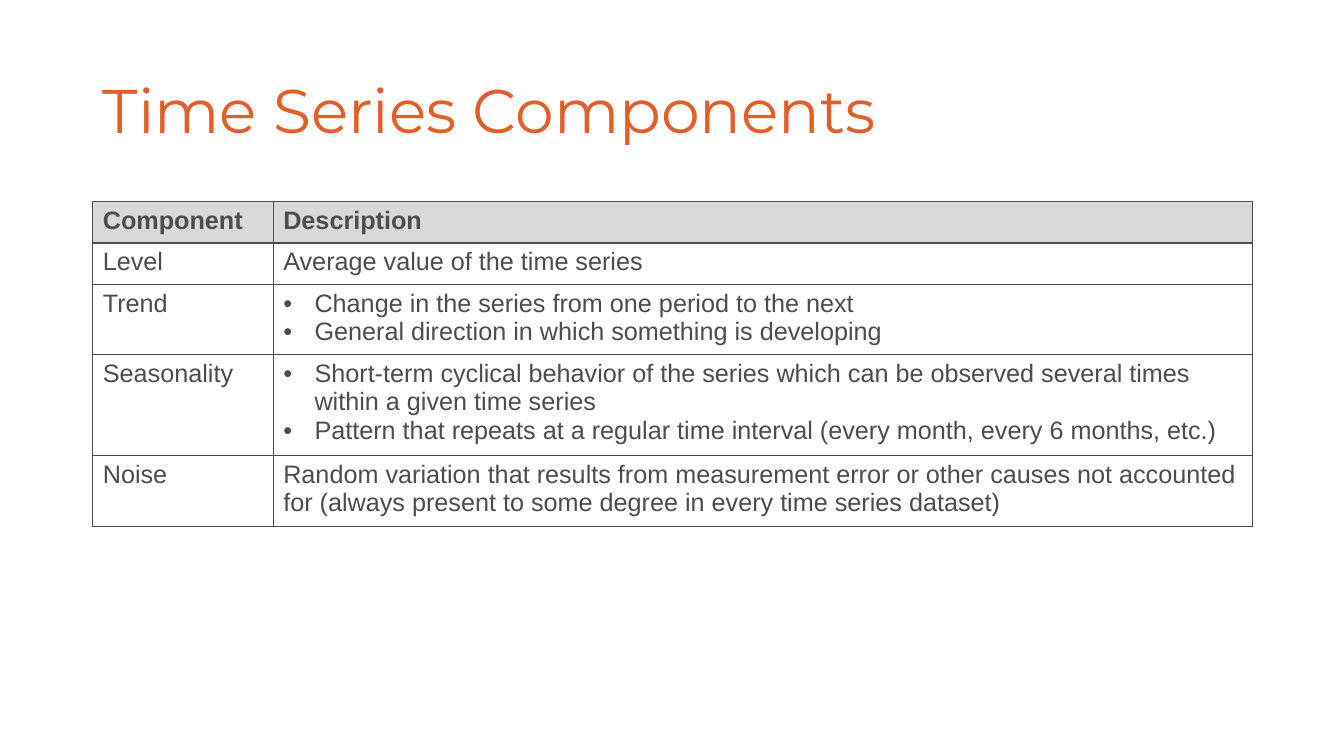
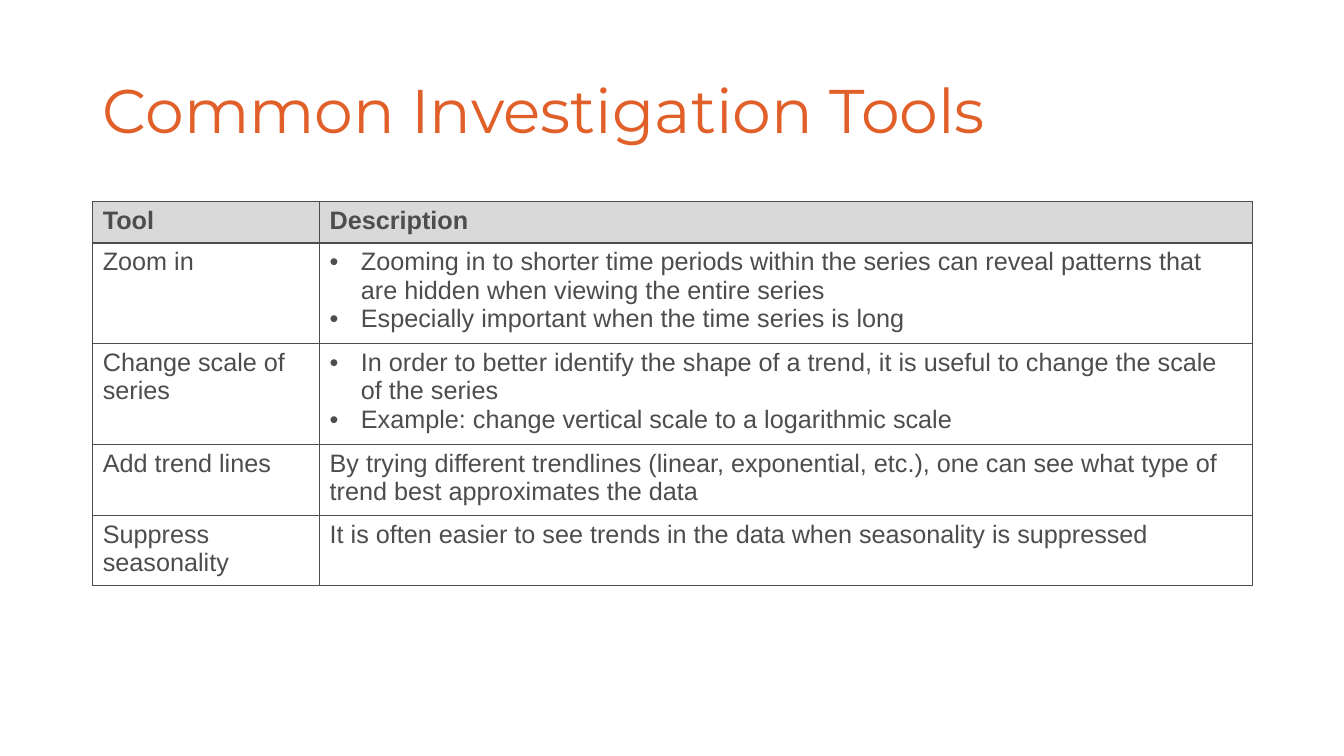
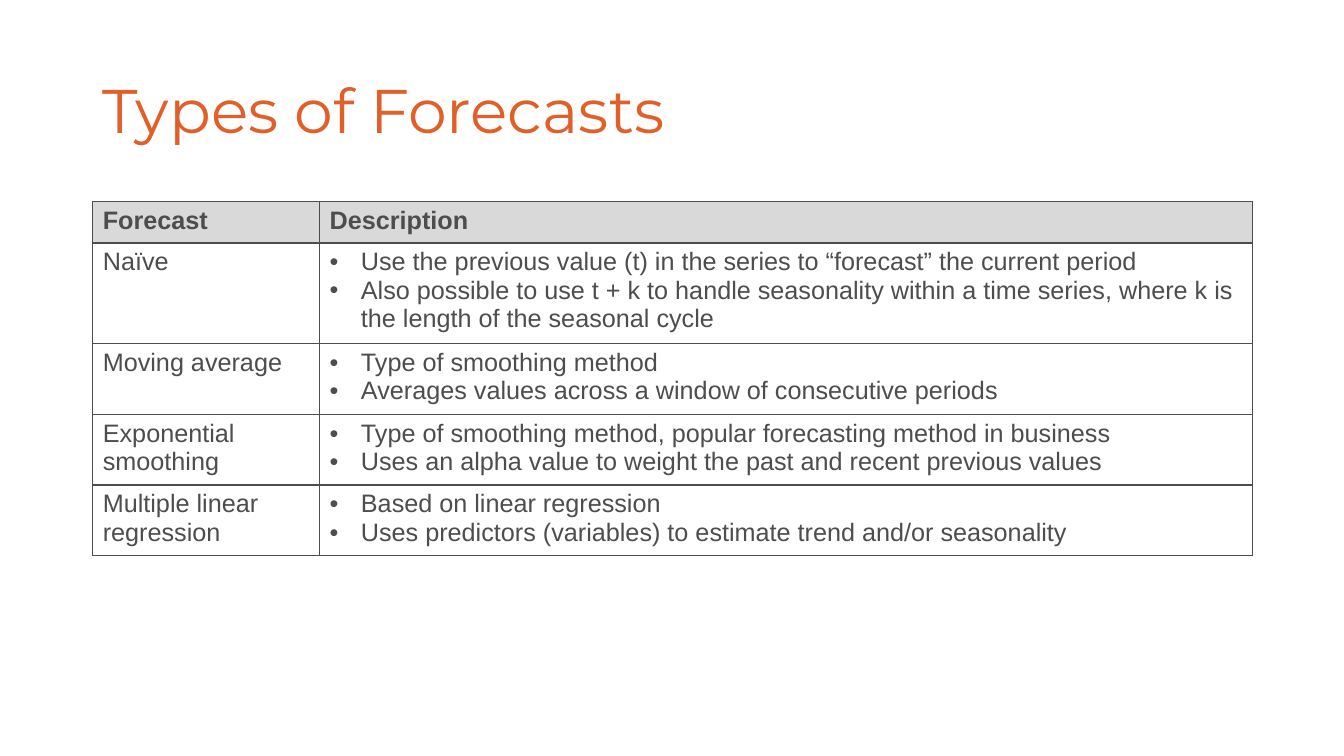
from lxml.etree import SubElement
from pptx import Presentation
from pptx.dml.color import RGBColor
from pptx.enum.text import MSO_ANCHOR
from pptx.oxml.ns import qn
from pptx.util import Inches, Pt

COLORS = {"title": "E15F29", "text": "4C4D4C", "border": "4C4D4C", "header": "D9D9D9"}
TITLE_FONT, BODY_FONT = "Montserrat", "Arial"
SLIDE_SIZE = (13.33, 7.5)
TITLE_BOX = (0.92, 0.4, 11.5, 1.45)
TABLE_BOX = (0.92, 2, 11.5)  # left, top, width
ROW_HEIGHT = 0.41
BULLET_INDENT = 0.31
BORDER_WIDTH = 1

# Each slide: title, width of the first column, table rows.
# A list in a cell becomes bulleted paragraphs.
SLIDES = [
    ("Time Series Components", 1.79, [
        ("Component", "Description"),
        ("Level", "Average value of the time series"),
        ("Trend", [
            "Change in the series from one period to the next",
            "General direction in which something is developing"]),
        ("Seasonality", [
            "Short-term cyclical behavior of the series which can be observed "
            "several times within a given time series",
            "Pattern that repeats at a regular time interval (every month, every 6 months, etc.)"]),
        ("Noise", "Random variation that results from measurement error or other causes not "
                  "accounted for (always present to some degree in every time series dataset)"),
    ]),
    ("Common Investigation Tools", 2.25, [
        ("Tool", "Description"),
        ("Zoom in", [
            "Zooming in to shorter time periods within the series can reveal patterns "
            "that are hidden when viewing the entire series",
            "Especially important when the time series is long"]),
        ("Change scale of series", [
            "In order to better identify the shape of a trend, it is useful to change "
            "the scale of the series",
            "Example: change vertical scale to a logarithmic scale"]),
        ("Add trend lines", "By trying different trendlines (linear, exponential, etc.), one can "
                            "see what type of trend best approximates the data"),
        ("Suppress seasonality", "It is often easier to see trends in the data when "
                                 "seasonality is suppressed"),
    ]),
    ("Types of Forecasts", 2.25, [
        ("Forecast", "Description"),
        ("Naïve", [
            "Use the previous value (t) in the series to “forecast” the current period",
            "Also possible to use t + k to handle seasonality within a time series, "
            "where k is the length of the seasonal cycle"]),
        ("Moving average", [
            "Type of smoothing method",
            "Averages values across a window of consecutive periods"]),
        ("Exponential smoothing", [
            "Type of smoothing method, popular forecasting method in business",
            "Uses an alpha value to weight the past and recent previous values"]),
        ("Multiple linear regression", [
            "Based on linear regression",
            "Uses predictors (variables) to estimate trend and/or seasonality"]),
    ]),
]


def rgb(role):
    return RGBColor.from_string(COLORS[role])


def style_font(font, name, size, role, bold=False):
    font.name, font.size, font.bold = name, Pt(size), bold
    font.color.rgb = rgb(role)


def add_bullet(paragraph):
    props = paragraph._p.get_or_add_pPr()
    indent = Inches(BULLET_INDENT)
    props.set("marL", str(indent))
    props.set("indent", str(-indent))
    SubElement(props, qn("a:buFont"), typeface=BODY_FONT)
    SubElement(props, qn("a:buChar"), char="•")


def add_borders(cell):
    props = cell._tc.get_or_add_tcPr()
    for side in ("a:lnL", "a:lnR", "a:lnT", "a:lnB"):
        line = SubElement(props, qn(side), w=str(Pt(BORDER_WIDTH)))
        fill = SubElement(line, qn("a:solidFill"))
        SubElement(fill, qn("a:srgbClr"), val=COLORS["border"])


def fill_cell(cell, content, is_header):
    bulleted = isinstance(content, list)
    cell.text_frame.text = "\n".join(content) if bulleted else content
    for paragraph in cell.text_frame.paragraphs:
        if bulleted:
            add_bullet(paragraph)
        for run in paragraph.runs:
            style_font(run.font, BODY_FONT, 18, "text", bold=is_header)
    add_borders(cell)
    if is_header:
        cell.fill.solid()
        cell.fill.fore_color.rgb = rgb("header")
    else:
        cell.fill.background()


def add_title(slide, title, box):
    frame = slide.shapes.add_textbox(*map(Inches, box)).text_frame
    frame.word_wrap = True
    frame.vertical_anchor = MSO_ANCHOR.MIDDLE
    frame.text = title
    paragraph = frame.paragraphs[0]
    paragraph.line_spacing = 0.9
    style_font(paragraph.runs[0].font, TITLE_FONT, 44, "title")


def add_definitions(slide, rows, term_width, box):
    """Add a table of terms and their descriptions."""
    left, top, width = box
    size = (left, top, width, ROW_HEIGHT * len(rows))
    table = slide.shapes.add_table(len(rows), 2, *map(Inches, size)).table
    table.horz_banding = False
    for column, column_width in zip(table.columns, (term_width, width - term_width)):
        column.width = Inches(column_width)
    for row_index, row in enumerate(rows):
        for column_index, content in enumerate(row):
            fill_cell(table.cell(row_index, column_index), content, row_index == 0)


def main():
    deck = Presentation()
    deck.slide_width, deck.slide_height = map(Inches, SLIDE_SIZE)
    blank = deck.slide_layouts[6]
    for title, term_width, rows in SLIDES:
        slide = deck.slides.add_slide(blank)
        add_title(slide, title, TITLE_BOX)
        add_definitions(slide, rows, term_width, TABLE_BOX)
    deck.save("out.pptx")


if __name__ == "__main__":
    main()
